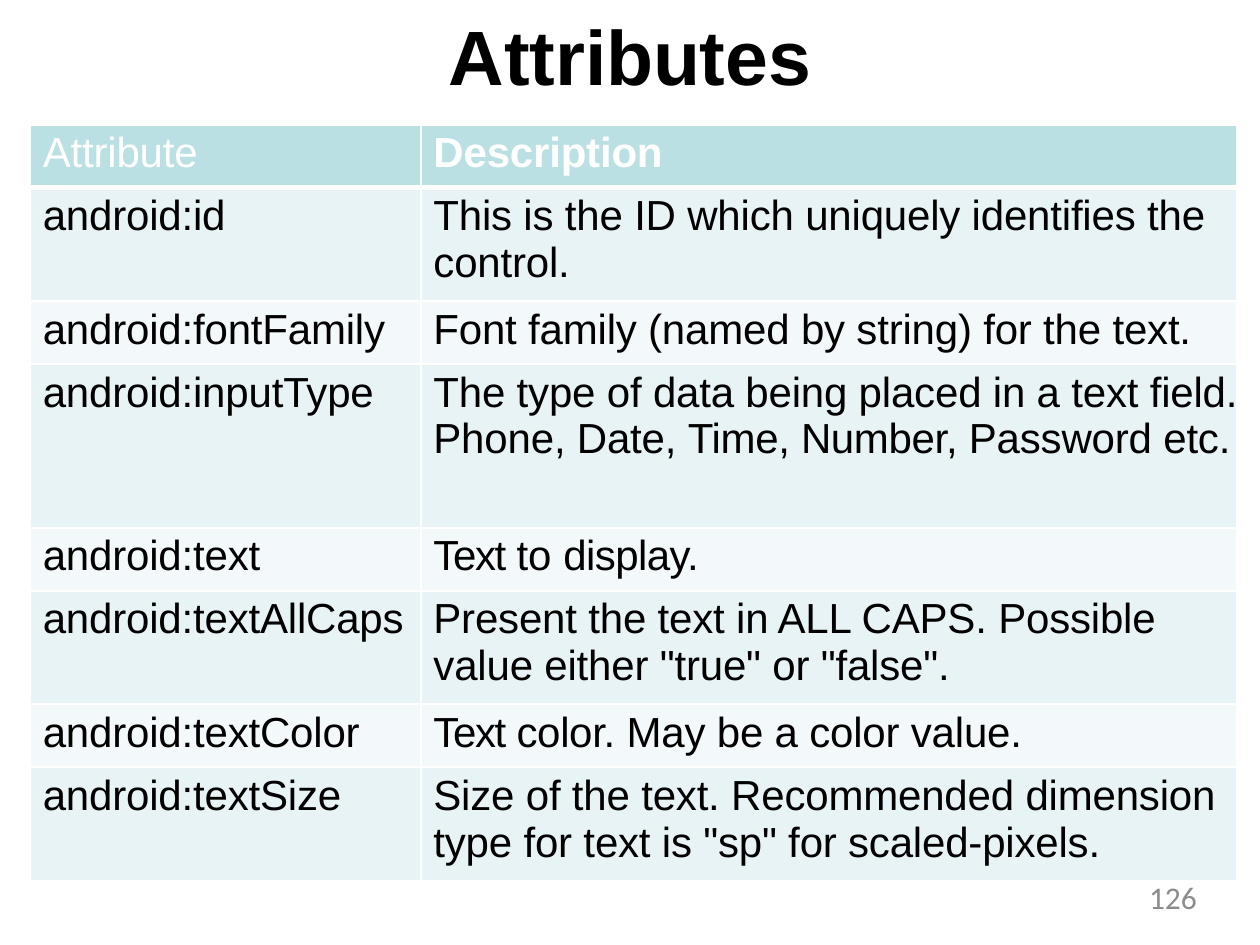
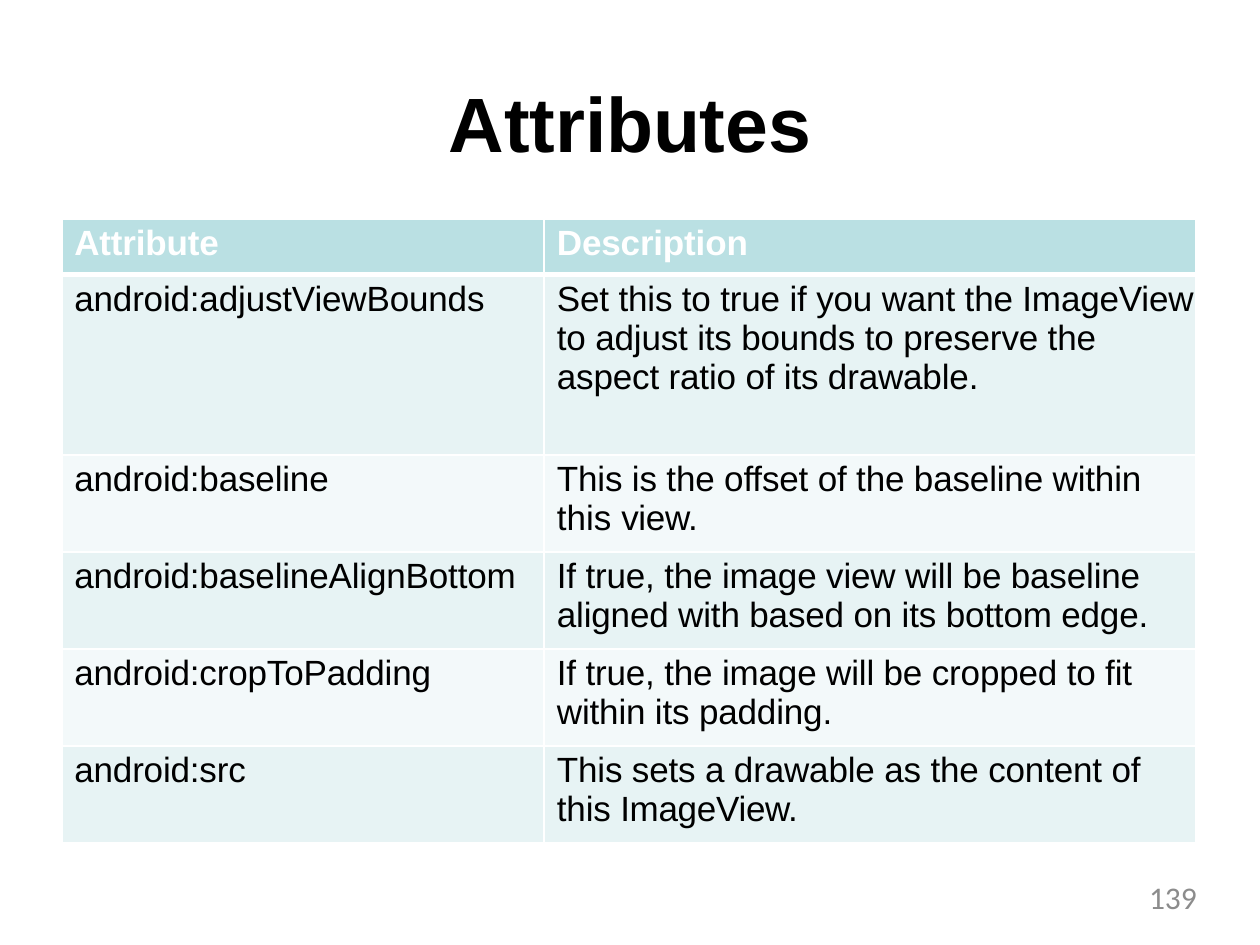
from dataclasses import dataclass

from lxml.etree import SubElement
from pptx import Presentation
from pptx.dml.color import RGBColor
from pptx.enum.text import MSO_ANCHOR, MSO_AUTO_SIZE, PP_ALIGN
from pptx.oxml.ns import qn
from pptx.util import Inches, Pt


@dataclass(frozen=True)
class Theme:
    heading_font: str = "Arial"
    number_font: str = "Calibri"
    black: str = "000000"
    white: str = "FFFFFF"
    header: str = "BAE0E3"
    bands: tuple = ("E7F3F4", "F3F9FA")
    grey: str = "8C8C8C"
    title_size: int = 44
    number_size: int = 18
    tracking: float = -0.1
    thin: float = 1.5
    thick: float = 3


THEME = Theme()

# A row is (lines of text, attribute, description paragraphs).
# A paragraph is a list of runs; a run is text, or (text, letter spacing).
PAGES = [
    {
        "number": "126", "title_top": 0, "table_at": (0.24, 0.99),
        "columns": (3.1, 6.48), "size": 24, "line": 0.4, "padding": 0.1,
        "bold_headers": (False, True),
        "rows": [
            (2, "android:id", [["This is the ID which uniquely identifies the control."]]),
            (1, "android:fontFamily", [["Font family (named by string) for the text."]]),
            (3, "android:inputType", [[
                "The type of data being placed in a text field. Phone, Date, ",
                ("Time, Number, ", -0.2), "Password etc."]]),
            (1, "android:text", [[("Text ", -0.8), ("to ", 0), ("display.", -0.3)]]),
            (2, "android:textAllCaps", [[
                'Present the text in ALL CAPS. Possible value either "true" or "false".']]),
            (1, "android:textColor", [[
                ("Text ", -0.8), ("color. ", -0.2), "May be a color value."]]),
            (2, "android:textSize", [[
                'Size of the text. Recommended dimension type for text is "sp" for scaled-pixels.']]),
        ],
    },
    {
        "number": "139", "title_top": 0.53, "table_at": (0.49, 1.74),
        "columns": (3.83, 5.17), "size": 20, "line": 0.33, "padding": 0.11,
        "bold_headers": (True, True),
        "rows": [
            (4, "android:adjustViewBounds", [[
                "Set this to true if you want the ImageView to adjust its bounds "
                "to preserve the aspect ratio of its drawable."]]),
            (2, "android:baseline", [
                ["This is the offset of the baseline within"],
                [("this ", 0), ("view.", -0.2)]]),
            (2, "android:baselineAlignBottom", [
                ["If true, the image view will be baseline"],
                ["aligned with based on its bottom edge."]]),
            (2, "android:cropToPadding", [[
                "If true, the image will be cropped to fit within its padding."]]),
            (2, "android:src", [[
                "This sets a drawable as the content of this", (" ImageView.", -0.2)]]),
        ],
    },
]


def add_span(para, text, font, size, color, bold=False, tracking=0):
    span = para.add_run()
    span.text = text
    span.font.name = font
    span.font.size = Pt(size)
    span.font.bold = bold
    span.font.color.rgb = RGBColor.from_string(color)
    if tracking:
        span.font._element.set("spc", str(round(tracking * 100)))


def prepare_frame(frame, top_inset=0):
    frame.margin_left = frame.margin_right = frame.margin_bottom = 0
    frame.margin_top = Inches(top_inset)
    frame.vertical_anchor = MSO_ANCHOR.TOP
    frame.auto_size = MSO_AUTO_SIZE.NONE


def add_title(slide, top):
    title = slide.shapes.title
    title.left, title.top = Inches(3.54), Inches(top)
    title.width, title.height = Inches(2.92), Inches(0.76)
    frame = title.text_frame
    prepare_frame(frame, 0.07)
    frame.word_wrap = False
    para = frame.paragraphs[0]
    para.alignment = PP_ALIGN.CENTER
    add_span(para, "Attributes", THEME.heading_font, THEME.title_size,
             THEME.black, True, THEME.tracking)


def add_page_number(slide, number):
    box = slide.shapes.add_textbox(Inches(7.2), Inches(6.97), Inches(2.3), Inches(0.38))
    frame = box.text_frame
    prepare_frame(frame)
    frame.word_wrap = True
    para = frame.paragraphs[0]
    para.alignment = PP_ALIGN.RIGHT
    add_span(para, number, THEME.number_font, THEME.number_size, THEME.grey)


def add_borders(cell, top, bottom):
    properties = cell._tc.get_or_add_tcPr()
    widths = {"lnL": THEME.thin, "lnR": THEME.thin, "lnT": top, "lnB": bottom}
    for position, (side, width) in enumerate(widths.items()):
        line = SubElement(properties, qn(f"a:{side}"), w=str(Pt(width)))
        fill = SubElement(line, qn("a:solidFill"))
        SubElement(fill, qn("a:srgbClr"), val=THEME.white)
        properties.insert(position, line)


def fill_cell(cell, paragraphs, row_index, size, bold):
    is_header = row_index == 0
    cell.margin_left, cell.margin_top = Inches(0.1), Inches(0.04)
    cell.margin_right = cell.margin_bottom = 0
    background = THEME.header if is_header else THEME.bands[(row_index - 1) % 2]
    cell.fill.solid()
    cell.fill.fore_color.rgb = RGBColor.from_string(background)
    add_borders(cell, THEME.thick if row_index == 1 else THEME.thin,
                THEME.thick if is_header else THEME.thin)
    frame = cell.text_frame
    for index, runs in enumerate(paragraphs):
        para = frame.add_paragraph() if index else frame.paragraphs[0]
        for run in runs:
            text, tracking = (run, THEME.tracking) if isinstance(run, str) else run
            add_span(para, text, THEME.heading_font, size,
                     THEME.white if is_header else THEME.black, bold, tracking)


def add_attribute_table(slide, page):
    rows = [(1, "Attribute", [["Description"]])] + page["rows"]
    heights = [page["padding"] + lines * page["line"] for lines, *_ in rows]
    left, top = page["table_at"]
    table = slide.shapes.add_table(
        len(rows), len(page["columns"]), Inches(left), Inches(top),
        Inches(sum(page["columns"])), Inches(sum(heights))).table
    for column, width in zip(table.columns, page["columns"]):
        column.width = Inches(width)
    for index, (_, attribute, description) in enumerate(rows):
        table.rows[index].height = Inches(heights[index])
        for column, paragraphs in enumerate(([[attribute]], description)):
            bold = index == 0 and page["bold_headers"][column]
            fill_cell(table.cell(index, column), paragraphs, index, page["size"], bold)


def main():
    deck = Presentation()
    deck.slide_width, deck.slide_height = Inches(10), Inches(7.5)
    title_only = deck.slide_layouts[5]
    for page in PAGES:
        slide = deck.slides.add_slide(title_only)
        add_title(slide, page["title_top"])
        add_attribute_table(slide, page)
        add_page_number(slide, page["number"])
    deck.save("out.pptx")


if __name__ == "__main__":
    main()
